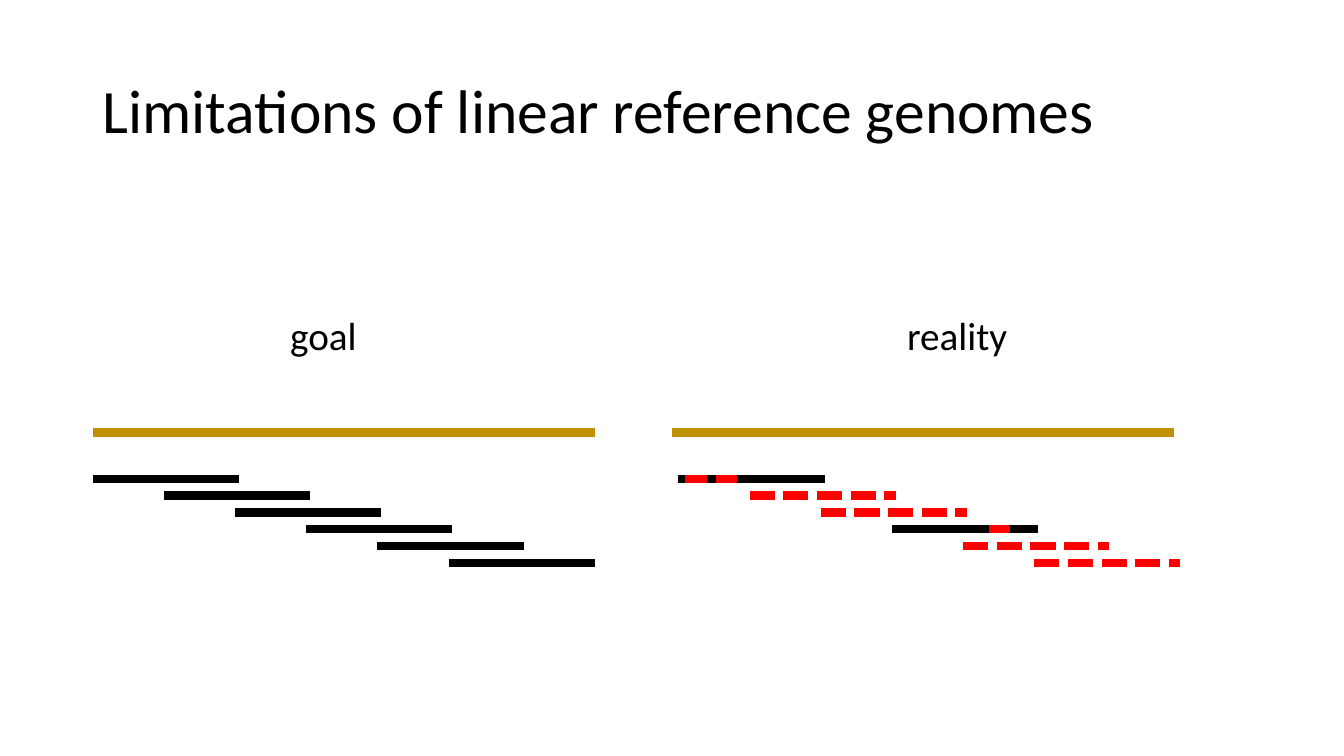
from lxml import etree
from pptx import Presentation
from pptx.dml.color import RGBColor
from pptx.enum.dml import MSO_LINE
from pptx.enum.shapes import MSO_CONNECTOR
from pptx.enum.text import MSO_ANCHOR
from pptx.oxml.ns import qn
from pptx.util import Inches, Pt

BLACK = RGBColor(0x00, 0x00, 0x00)
RED = RGBColor(0xFF, 0x00, 0x00)
GOLD = RGBColor(0xBF, 0x90, 0x00)

PANEL_TOP, PANEL_WIDTH = 3.04, 4.98
REFERENCE_DROP, READS_DROP = 1.25, 1.71
READ_COUNT, READ_LENGTH, READ_GAP = 6, 1.45, 0.167
READ_STEP = (PANEL_WIDTH - READ_LENGTH) / (READ_COUNT - 1)
VARIANT_LENGTH = 0.21


def add_text(slide, box, words, size, wrap=False):
    """Place one run of Calibri text in a box given in inches."""
    frame = slide.shapes.add_textbox(*map(Inches, box)).text_frame
    frame.word_wrap = wrap
    paragraph = frame.paragraphs[0]
    run = paragraph.add_run()
    run.text = words
    run.font.name = "Calibri"
    run.font.size = Pt(size)
    run.font.color.rgb = BLACK
    return frame


def add_strand(shapes, left, y, length, color, dotted=False):
    """Draw one thick horizontal strand."""
    strand = shapes.add_connector(
        MSO_CONNECTOR.STRAIGHT,
        Inches(left), Inches(y), Inches(left + length), Inches(y))
    strand.line.color.rgb = color
    strand.line.width = Pt(6)
    if dotted:
        strand.line.dash_style = MSO_LINE.SQUARE_DOT
    etree.SubElement(strand._element.spPr, qn("a:effectLst"))


def add_title(slide, box):
    """Write the slide title, centred vertically in its box."""
    title = add_text(slide, box, "Limitations of linear reference genomes", 44, wrap=True)
    title.vertical_anchor = MSO_ANCHOR.MIDDLE
    title.paragraphs[0].line_spacing = 0.9


def add_panel(slide, left, label, label_offset, label_width,
              reads_offset=0, unmapped=(), variants=()):
    """Draw a label, its reference genome and the staircase of reads below."""
    add_text(slide, (left + label_offset, PANEL_TOP, label_width, 0.57), label, 28)
    add_strand(slide.shapes, left, PANEL_TOP + REFERENCE_DROP, PANEL_WIDTH, GOLD)

    reads = slide.shapes.add_group_shape().shapes
    reads_left, reads_top = left + reads_offset, PANEL_TOP + READS_DROP
    for row in range(READ_COUNT):
        lost = row in unmapped
        add_strand(reads, reads_left + row * READ_STEP, reads_top + row * READ_GAP,
                   READ_LENGTH, RED if lost else BLACK, lost)
    for row, offset in variants:
        add_strand(reads, reads_left + row * READ_STEP + offset,
                   reads_top + row * READ_GAP, VARIANT_LENGTH, RED)


def main():
    """Build the slide and save it."""
    deck = Presentation()
    deck.slide_width, deck.slide_height = Inches(13.333), Inches(7.5)
    slide = deck.slides.add_slide(deck.slide_layouts[6])
    add_title(slide, (0.92, 0.4, 11.5, 1.45))
    add_panel(slide, 0.92, "goal", 1.86, 0.87)
    add_panel(slide, 6.67, "reality", 2.23, 1.2, reads_offset=0.06,
              unmapped=(1, 2, 4, 5), variants=((0, 0.07), (0, 0.37), (3, 0.96)))
    deck.save("out.pptx")


if __name__ == "__main__":
    main()
